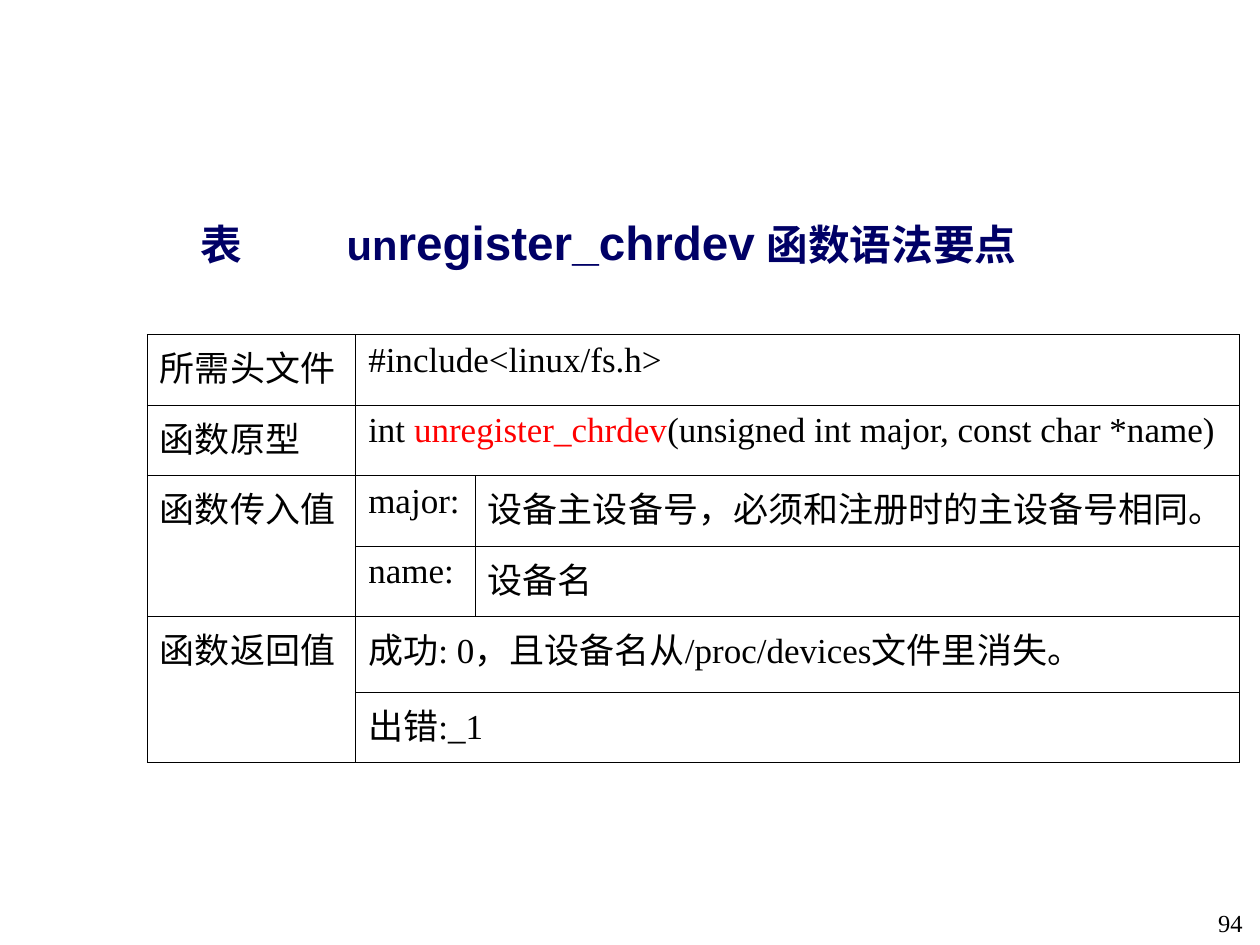
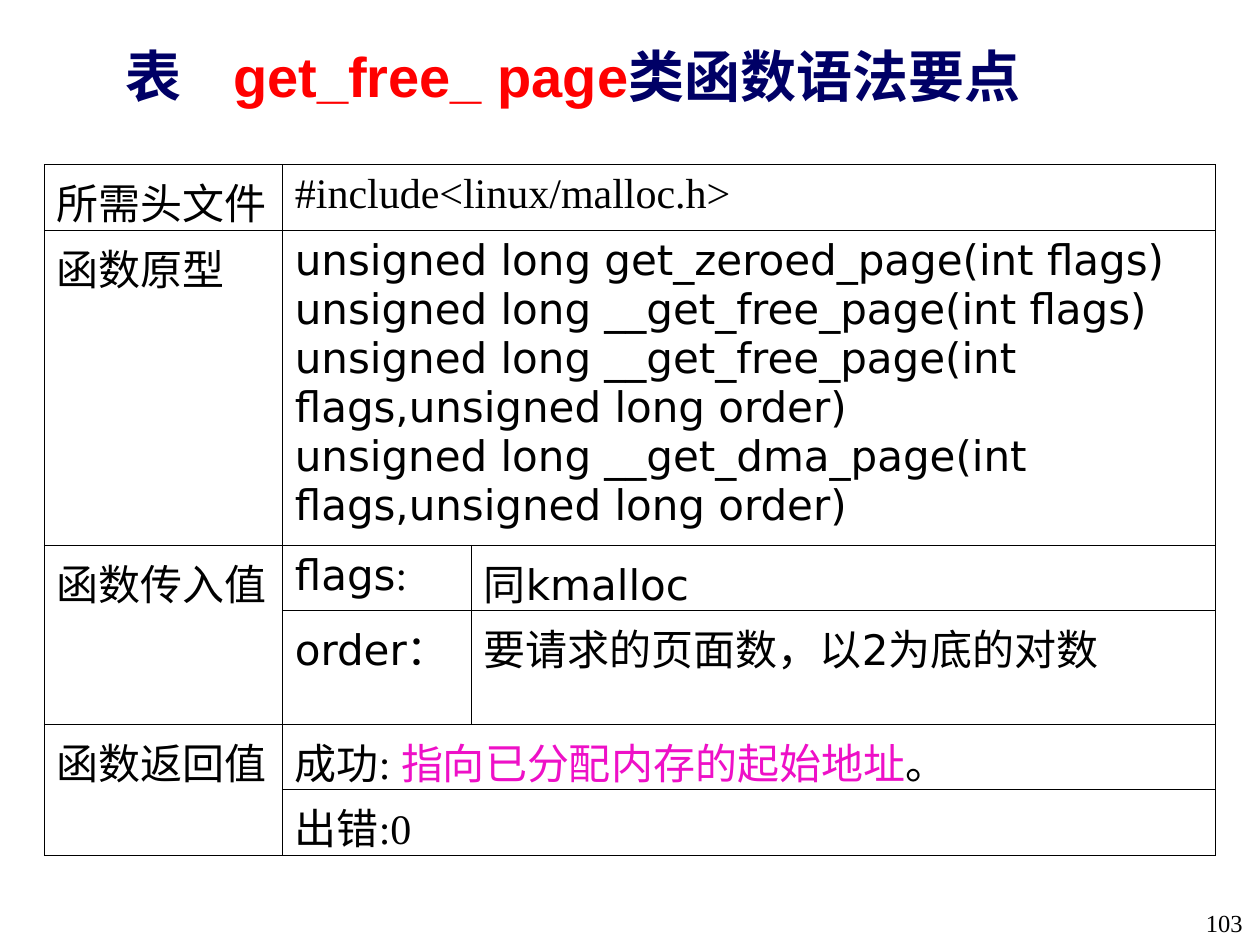
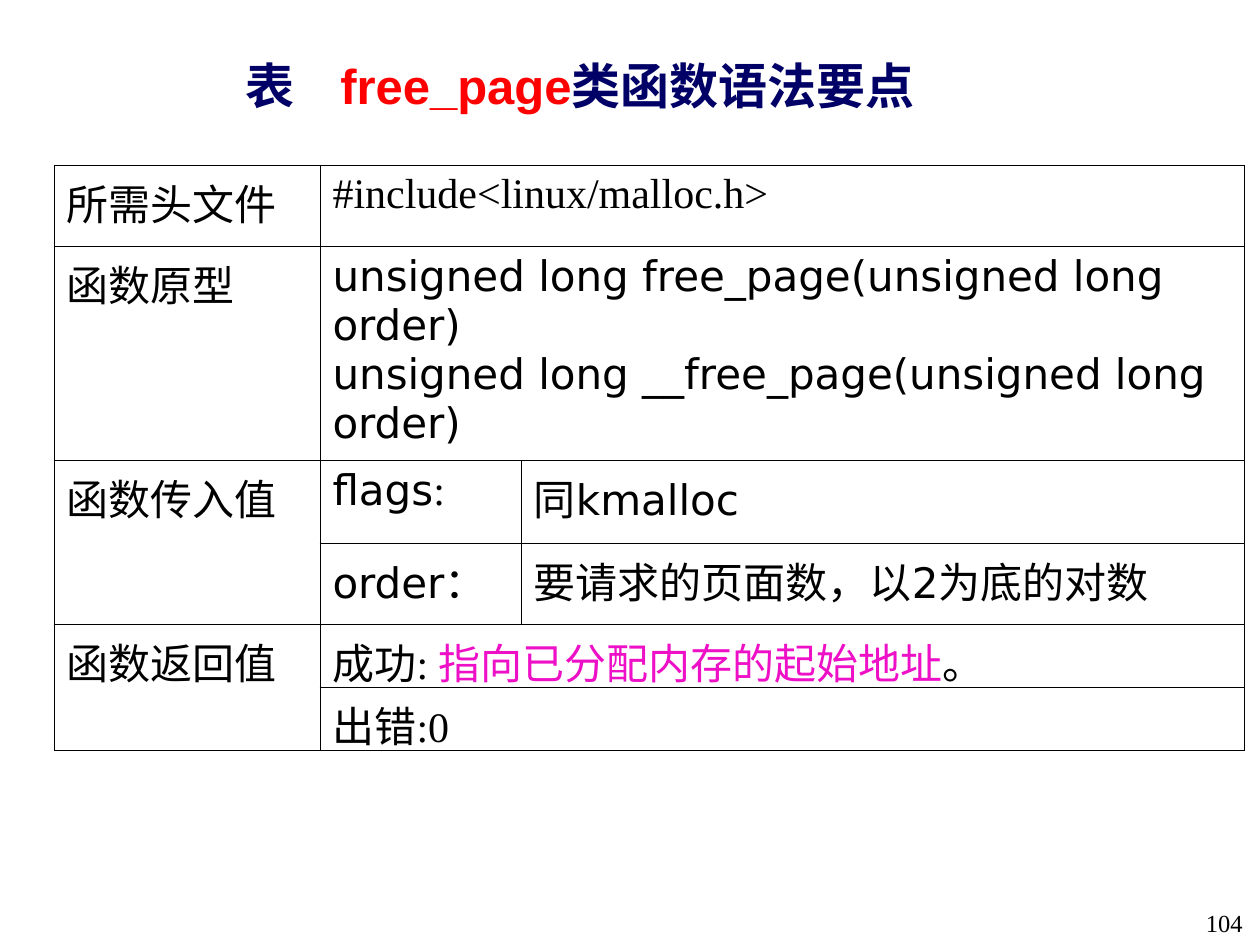
from lxml import etree
from pptx import Presentation
from pptx.dml.color import RGBColor
from pptx.enum.shapes import MSO_CONNECTOR as Connector
from pptx.enum.text import MSO_ANCHOR as Anchor, MSO_AUTO_SIZE as AutoSize, PP_ALIGN as Align
from pptx.oxml.ns import qn
from pptx.util import Cm, Pt

COLOURS = {
    "ink": "000000",
    "number": "010000",
    "title": "000066",
    "key": "FF0000",
    "result": "EE10C7",
}
SERIF, SANS, CODE = "Times New Roman", "Arial", "DejaVu Sans"
LABELS = ["所需头文件", "函数原型", "函数传入值", None, "函数返回值", None]
PARAMETER_ROWS = (2, 3)

# Span styles
KEY = {"colour": "key"}
RESULT = {"name": CODE, "colour": "result"}
MONO = {"name": CODE}

# Content the two page-allocation slides have in common
PAGE_PARAMETERS = [
    ([("flags", MONO), ":"], [("同kmalloc", MONO)]),
    ([("order：", MONO)], [("要请求的页面数，以2为底的对数", MONO)]),
]
PAGE_RESULTS = [["成功: ", ("指向已分配内存的起始地址", RESULT), "。"], ["出错:0"]]


def style_font(font, name=None, size=None, colour=None, bold=None):
    if name:
        font.name = name
    if size:
        font.size = Pt(size)
    if colour:
        font.color.rgb = RGBColor.from_string(COLOURS[colour])
    if bold is not None:
        font.bold = bold


def write_spans(para, spans, **base):
    """Fill a paragraph with plain strings or (text, style) pairs."""
    style_font(para.font, **base)
    for item in spans:
        text, style = (item, {}) if isinstance(item, str) else item
        span = para.add_run()
        span.text = text
        style_font(span.font, **style)


def add_tab_stop(para, position):
    tabs = etree.SubElement(para._p.get_or_add_pPr(), qn("a:tabLst"))
    etree.SubElement(tabs, qn("a:tab"), pos=str(Cm(position)), algn="l")


def place_title(page, place, tab, spans, size, line_spacing=None):
    box = page.shapes.title
    box.left, box.top, box.width, box.height = map(Cm, place)
    frame = box.text_frame
    frame.word_wrap = True
    frame.auto_size = AutoSize.NONE
    frame.vertical_anchor = Anchor.TOP
    frame.margin_left = frame.margin_right = Cm(0.23)
    frame.margin_top = frame.margin_bottom = Cm(0.13)
    para = frame.paragraphs[0]
    add_tab_stop(para, tab)
    para.alignment = Align.LEFT
    para.line_spacing = line_spacing
    write_spans(para, ["表\t", *spans], name=SANS, size=size, colour="title", bold=True)


def add_page_number(page, number):
    box = page.shapes.add_textbox(Cm(23.37), Cm(18.19), Cm(1.93), Cm(0.86))
    box.text_frame.word_wrap = True
    para = box.text_frame.paragraphs[0]
    para.alignment = Align.RIGHT
    write_spans(para, [str(number)], name=SERIF, size=14, colour="number")


def add_dot(page, top):
    """A line of no length, which shows as a small dot."""
    x, y = Cm(10.54), Cm(top)
    dot = page.shapes.add_connector(Connector.STRAIGHT, x, y, x, y)
    dot.line.color.rgb = RGBColor.from_string(COLOURS["ink"])
    dot.line.width = Pt(1)
    etree.SubElement(dot._element.spPr, qn("a:effectLst"))


def frame_cell(cell):
    properties = cell._tc.get_or_add_tcPr()
    for side in ("a:lnL", "a:lnR", "a:lnT", "a:lnB"):
        line = etree.SubElement(properties, qn(side), w=str(Pt(0.45)))
        fill = etree.SubElement(line, qn("a:solidFill"))
        etree.SubElement(fill, qn("a:srgbClr"), val=COLOURS["ink"])
    cell.fill.background()


def write_cell(cell, paragraphs, size):
    frame = cell.text_frame
    for index, spans in enumerate(paragraphs):
        para = frame.add_paragraph() if index else frame.paragraphs[0]
        write_spans(para, spans, name=SERIF, size=size, colour="ink")


def add_function_table(page, corner, columns, rows, size, header, prototypes, parameters, results):
    left, top = corner
    table = page.shapes.add_table(
        len(rows), len(columns), Cm(left), Cm(top), Cm(sum(columns)), Cm(sum(rows))
    ).table
    table.first_row = table.horz_banding = False
    for column, width in zip(table.columns, columns):
        column.width = Cm(width)
    for row, height in zip(table.rows, rows):
        row.height = Cm(height)
    for cell in table.iter_cells():
        frame_cell(cell)

    # Labels, each two rows high where the next label is missing
    for index, label in enumerate(LABELS):
        if label is None:
            table.cell(index - 1, 0).merge(table.cell(index, 0))
        else:
            write_cell(table.cell(index, 0), [[label]], size)

    # Full-width entries
    entries = {0: [[header]], 1: prototypes, 4: results[:1], 5: results[1:]}
    for index, paragraphs in entries.items():
        table.cell(index, 1).merge(table.cell(index, 2))
        write_cell(table.cell(index, 1), paragraphs, size)

    # Parameters with their meaning
    for index, (name, meaning) in zip(PARAMETER_ROWS, parameters):
        write_cell(table.cell(index, 1), [name], size)
        write_cell(table.cell(index, 2), [meaning], size)


def add_page(deck, number, dot_top):
    page = deck.slides.add_slide(deck.slide_layouts[5])
    add_page_number(page, number)
    add_dot(page, dot_top)
    return page


def main():
    deck = Presentation()
    deck.slide_width, deck.slide_height = Cm(25.4), Cm(19.05)

    # unregister_chrdev
    page = add_page(deck, 94, 9.68)
    place_title(
        page, (3.81, 4.17, 21.59, 1.93), 2.95,
        ["un", ("register_chrdev", {"size": 27.2}), " 函数语法要点"], 23.8,
    )
    add_function_table(
        page, (2.97, 6.75), [4.2, 2.41, 15.4], [1.42, 1.42, 1.42, 1.42, 1.52, 1.42], 20,
        "#include<linux/fs.h>",
        [["int ", ("unregister_chrdev", KEY), "(unsigned int major, const char *name)"]],
        [
            (["major:"], ["设备主设备号，必须和注册时的主设备号相同。"]),
            (["name:"], ["设备名"]),
        ],
        [["成功: 0，且设备名从/proc/devices文件里消失。"], ["出错:_1"]],
    )

    # get_free_page
    page = add_page(deck, 103, 8.86)
    place_title(
        page, (2.29, 0.71, 21.59, 2.59), 2.18,
        [("get_free_ page", KEY), "类函数语法要点"], 32,
    )
    prototypes = [
        "unsigned long get_zeroed_page(int flags)",
        "unsigned long __get_free_page(int flags)",
        "unsigned long __get_free_page(int flags,unsigned long order)",
        "unsigned long __get_dma_page(int flags,unsigned long order)",
    ]
    add_function_table(
        page, (0.89, 3.32), [4.8, 3.81, 15], [1.32, 6.35, 1.32, 1.32, 1.32, 1.32], 24,
        "#include<linux/malloc.h>", [[(line, MONO)] for line in prototypes],
        PAGE_PARAMETERS, PAGE_RESULTS,
    )

    # free_page
    page = add_page(deck, 104, 9.58)
    place_title(
        page, (4.72, 1.12, 19.16, 1.4), 1.91,
        [("free_page", KEY), "类函数语法要点"], 28, line_spacing=0.9,
    )
    prototypes = [
        "unsigned long free_page(unsigned long order)",
        "unsigned long __free_page(unsigned long order)",
    ]
    add_function_table(
        page, (1.09, 3.33), [5.36, 4.06, 14.58], [1.63, 4.32, 1.68, 1.63, 1.27, 1.27], 24,
        "#include<linux/malloc.h>", [[(line, MONO)] for line in prototypes],
        PAGE_PARAMETERS, PAGE_RESULTS,
    )

    deck.save("out.pptx")


if __name__ == "__main__":
    main()
